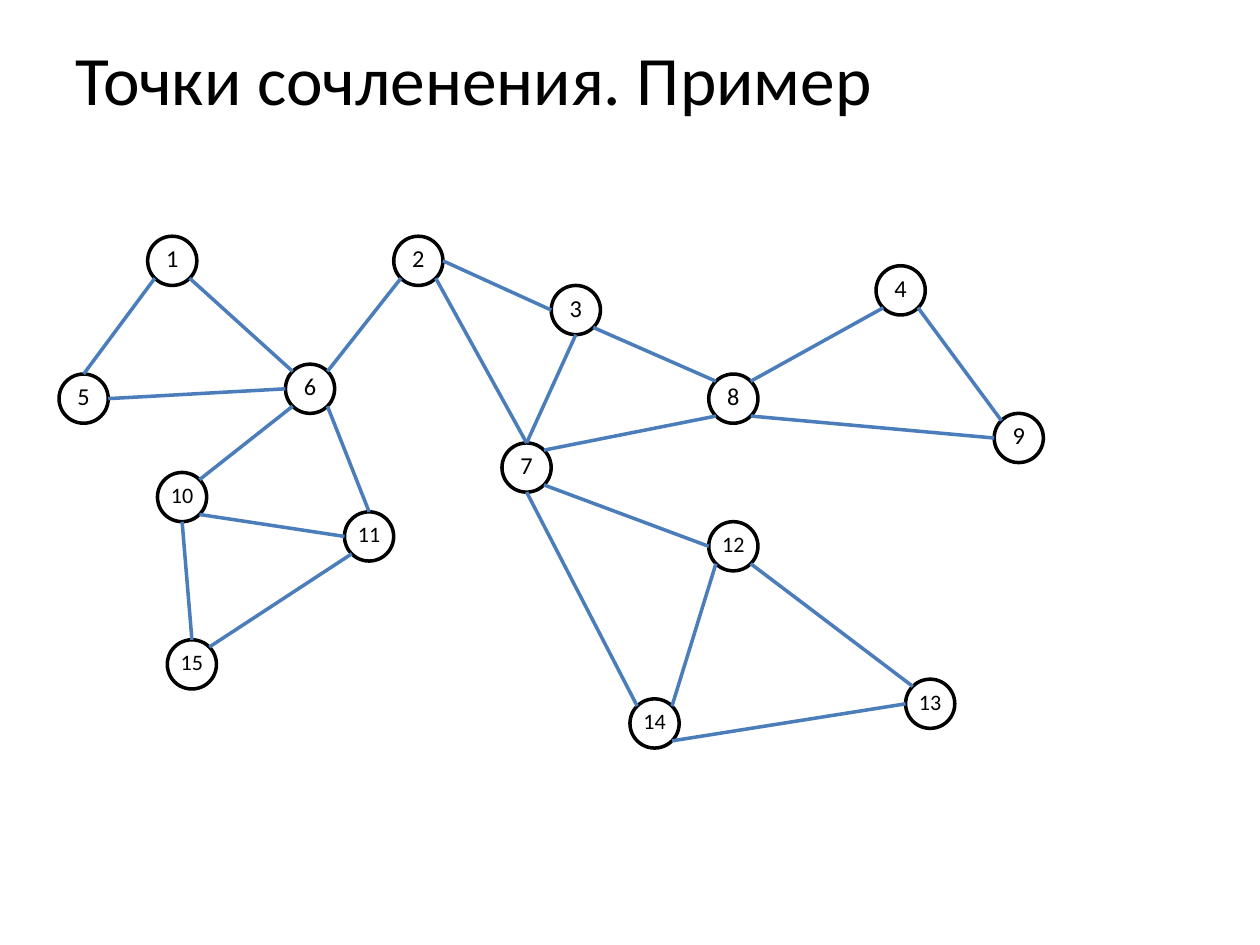
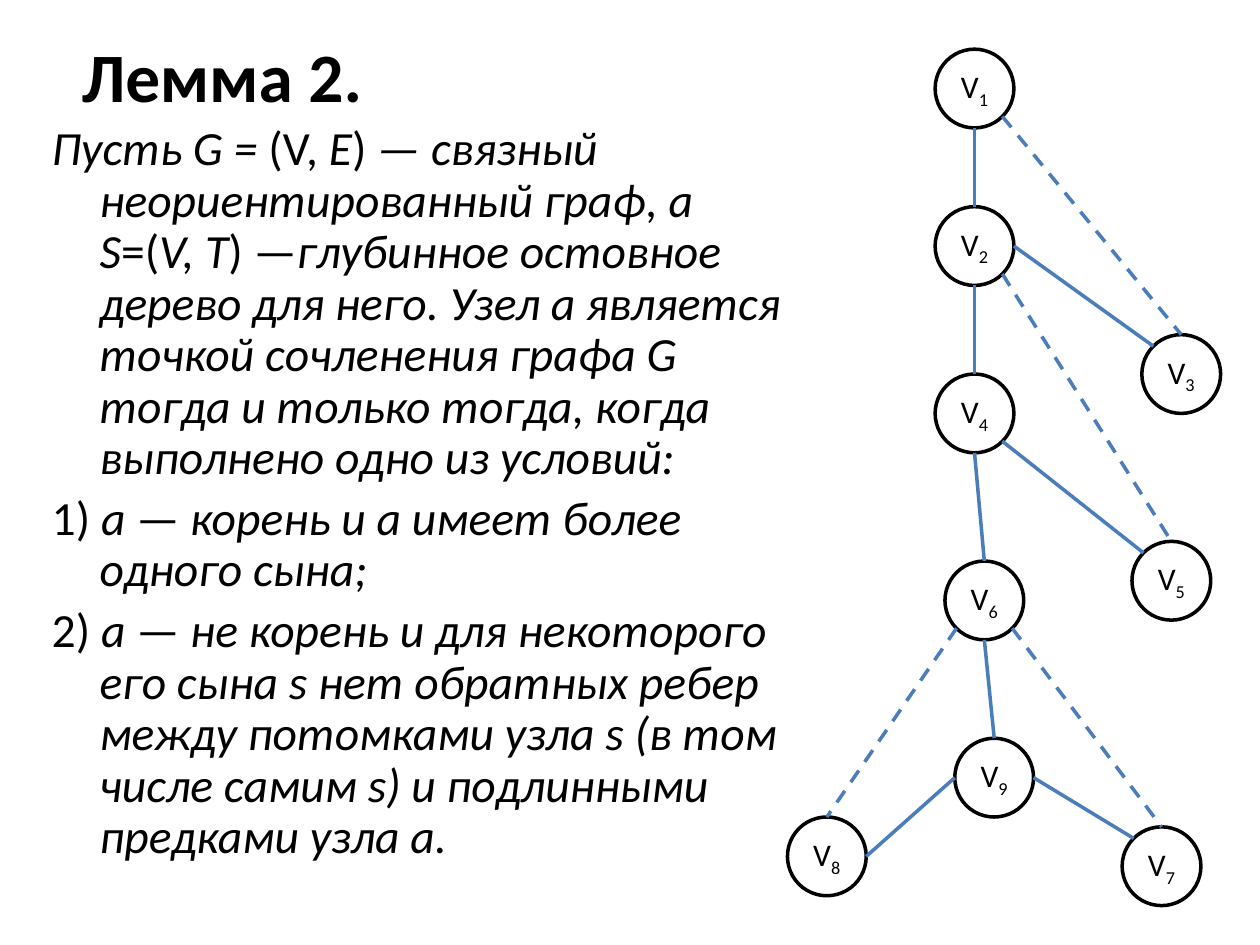
from math import cos, radians, sin

from lxml.etree import SubElement
from pptx import Presentation
from pptx.dml.color import RGBColor
from pptx.enum.dml import MSO_LINE_DASH_STYLE as DASH
from pptx.enum.shapes import MSO_CONNECTOR, MSO_SHAPE
from pptx.enum.text import MSO_ANCHOR, MSO_AUTO_SIZE, PP_ALIGN
from pptx.oxml.ns import qn
from pptx.util import Inches, Pt

# ---- Content: node places are (column, row) of the top left corner ----
EXAMPLE_TITLE = "Точки сочленения. Пример"
EXAMPLE_NODES = {
    1: (15, 24), 2: (40, 24), 3: (56, 29), 4: (89, 27), 5: (6, 38),
    6: (29, 37), 7: (51, 45), 8: (72, 38), 9: (101, 42), 10: (16, 48),
    11: (35, 52), 12: (72, 53), 13: (92, 69), 14: (64, 71), 15: (17, 65),
}
# Edges: node, side it leaves, node, side it reaches
EXAMPLE_EDGES = [
    (1, "SE", 6, "NW"), (2, "E", 3, "W"), (5, "E", 6, "W"),
    (6, "SE", 11, "N"), (1, "SW", 5, "N"), (2, "SW", 6, "NE"),
    (10, "SE", 11, "W"), (6, "SW", 10, "NE"), (7, "SE", 12, "W"),
    (2, "SE", 7, "N"), (3, "S", 7, "N"), (3, "SE", 8, "NW"),
    (11, "SW", 15, "NE"), (12, "SE", 13, "NW"), (10, "S", 15, "N"),
    (7, "NE", 8, "SW"), (8, "SE", 9, "W"), (4, "SE", 9, "NW"),
    (4, "SW", 8, "NE"), (7, "S", 14, "NW"), (14, "SE", 13, "W"),
    (12, "SW", 14, "NE"),
]

LEMMA_TITLE = "Лемма 2."
# Upright and italic pieces alternate, upright first
LEMMA_TEXT = [
    "|Пусть G =| (V, |Е|)| — связный неориентированный граф, а S|=(|V, Т|) —|"
    "глубинное остовное дерево для него. Узел а является точкой сочленения "
    "графа G тогда и только тогда, когда выполнено одно из условий:",
    "1) |а| — |корень и а имеет более одного сына;",
    "2) |а| — |не корень и для некоторого его сына s нет обратных ребер между "
    "потомками узла s (в том числе самим s) и подлинными предками узла а.",
]
TREE_NODES = {
    1: (95, 5), 2: (95, 21), 3: (116, 34), 4: (95, 38), 5: (115, 55),
    6: (96, 57), 7: (114, 84), 8: (80, 83), 9: (97, 75),
}
TREE_EDGES = [
    (1, "S", 2, "N"), (2, "S", 4, "N"), (4, "SE", 5, "NW"), (4, "S", 6, "N"),
    (6, "S", 9, "N"), (7, "NW", 9, "E"), (8, "E", 9, "W"), (2, "E", 3, "NW"),
]
BACK_EDGES = [
    (1, "SE", 3, "N"), (2, "SE", 5, "N"), (6, "SW", 8, "N"), (6, "SE", 7, "N"),
]

# ---- Shared style ----
BLACK = RGBColor(0x00, 0x00, 0x00)
EDGE_BLUE = RGBColor(0x4A, 0x7D, 0xBA)
FONT = "Calibri"
WIDTH, HEIGHT = Inches(10), Inches(7.5)
CELL = HEIGHT / 96
LINE_WIDTH = Pt(2)
HANGING = Inches(0.38)
# Connection sites of an ellipse, counter-clockwise from the top
SIDES = ["N", "NW", "W", "SW", "S", "SE", "E", "NE"]


def style_run(run, size, bold=False, italic=False):
    font = run.font
    font.name, font.size, font.bold, font.italic = FONT, Pt(size), bold, italic
    font.color.rgb = BLACK


def place(shape, left, top, width, height):
    shape.left, shape.top = Inches(left), Inches(top)
    shape.width, shape.height = Inches(width), Inches(height)


def add_titled_slide(presentation, layout_index, title, box, bold=False):
    slide = presentation.slides.add_slide(presentation.slide_layouts[layout_index])
    shape = slide.shapes.title
    place(shape, *box)
    text_frame = shape.text_frame
    text_frame.text = title
    text_frame.auto_size = MSO_AUTO_SIZE.NONE
    text_frame.vertical_anchor = MSO_ANCHOR.MIDDLE
    paragraph = text_frame.paragraphs[0]
    paragraph.alignment = PP_ALIGN.LEFT
    style_run(paragraph.runs[0], 39.6, bold)
    return slide


def add_node(slide, position, cells):
    """Draw an empty circle and return it with its first paragraph."""
    column, row = position
    node = slide.shapes.add_shape(
        MSO_SHAPE.OVAL, round(column * CELL), round(row * CELL),
        round(cells * CELL), round(cells * CELL))
    node.shadow.inherit = False
    node.fill.background()
    node.line.color.rgb = BLACK
    node.line.width = LINE_WIDTH
    frame = node.text_frame
    frame.margin_left = frame.margin_right = Inches(0.04)
    frame.margin_top = frame.margin_bottom = Inches(0.04)
    frame.vertical_anchor = MSO_ANCHOR.MIDDLE
    paragraph = frame.paragraphs[0]
    paragraph.alignment = PP_ALIGN.CENTER
    return node, paragraph


def side_point(node, side):
    angle = radians(90 + 45 * SIDES.index(side))
    radius = node.width / 2
    return (round(node.left + radius * (1 + cos(angle))),
            round(node.top + radius * (1 - sin(angle))))


def add_edges(slide, nodes, edges, dashed=False):
    for start, start_side, end, end_side in edges:
        ends = [("a:stCxn", nodes[start], start_side),
                ("a:endCxn", nodes[end], end_side)]
        edge = slide.shapes.add_connector(
            MSO_CONNECTOR.STRAIGHT, *side_point(nodes[start], start_side),
            *side_point(nodes[end], end_side))
        edge.line.color.rgb = EDGE_BLUE
        edge.line.width = LINE_WIDTH
        if dashed:
            edge.line.dash_style = DASH.DASH
        SubElement(edge.element.spPr, qn("a:effectLst"))
        # Join to the circle's eight sites
        joints = edge.element.find(".//" + qn("p:cNvCxnSpPr"))
        for tag, node, side in ends:
            SubElement(joints, qn(tag), id=str(node.shape_id),
                       idx=str(SIDES.index(side)))


def build_example(presentation):
    slide = add_titled_slide(presentation, 5, EXAMPLE_TITLE, (0.5, 0.3, 9, 0.64))
    nodes = {}
    for number, position in EXAMPLE_NODES.items():
        nodes[number], paragraph = add_node(slide, position, 5)
        paragraph.text = str(number)
        paragraph.line_spacing = 0.8
        style_run(paragraph.runs[0], 13.9 if number < 10 else 12.6)
    add_edges(slide, nodes, EXAMPLE_EDGES)


def fill_lemma(body):
    place(body, 0.31, 0.94, 6.06, 6.09)
    frame = body.text_frame
    frame.auto_size = MSO_AUTO_SIZE.NONE
    for index, text in enumerate(LEMMA_TEXT):
        paragraph = frame.add_paragraph() if index else frame.paragraphs[0]
        paragraph.line_spacing = 0.9
        paragraph.space_before = Pt(5.4 if index else 0)
        # Hanging indent without a bullet
        properties = paragraph._p.get_or_add_pPr()
        properties.set("marL", str(HANGING))
        properties.set("indent", str(-HANGING))
        SubElement(properties, qn("a:buNone"))
        for piece_index, piece in enumerate(text.split("|")):
            if piece:
                run = paragraph.add_run()
                run.text = piece
                style_run(run, 27.2, italic=piece_index % 2 == 1)


def build_lemma(presentation):
    slide = add_titled_slide(presentation, 1, LEMMA_TITLE,
                             (0.55, 0.31, 9, 0.56), bold=True)
    fill_lemma(slide.placeholders[1])
    nodes = {}
    for number, position in TREE_NODES.items():
        nodes[number], paragraph = add_node(slide, position, 8)
        for text in ("V", str(number)):
            run = paragraph.add_run()
            run.text = text
            style_run(run, 18)
        run._r.get_or_add_rPr().set("baseline", "-25000")
    add_edges(slide, nodes, TREE_EDGES)
    add_edges(slide, nodes, BACK_EDGES, dashed=True)


def main():
    presentation = Presentation()
    presentation.slide_width, presentation.slide_height = WIDTH, HEIGHT
    build_example(presentation)
    build_lemma(presentation)
    presentation.save("out.pptx")


if __name__ == "__main__":
    main()
